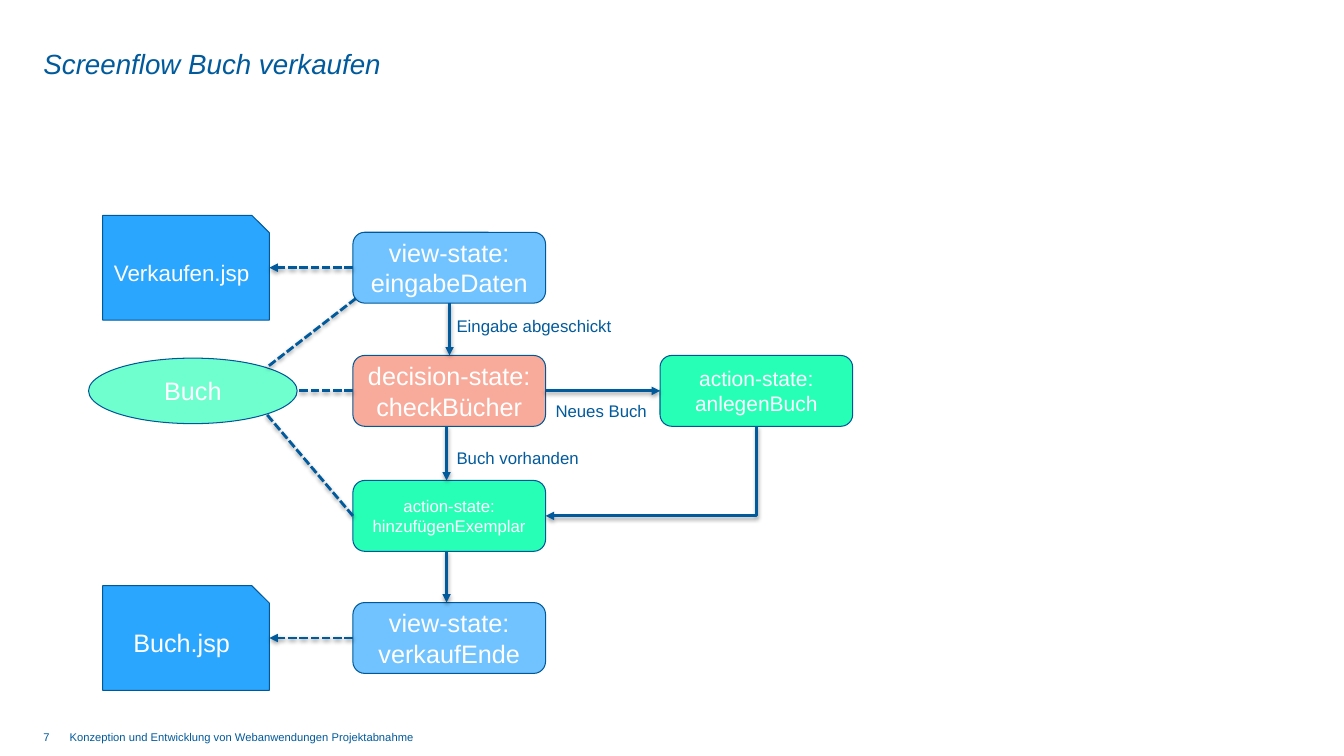
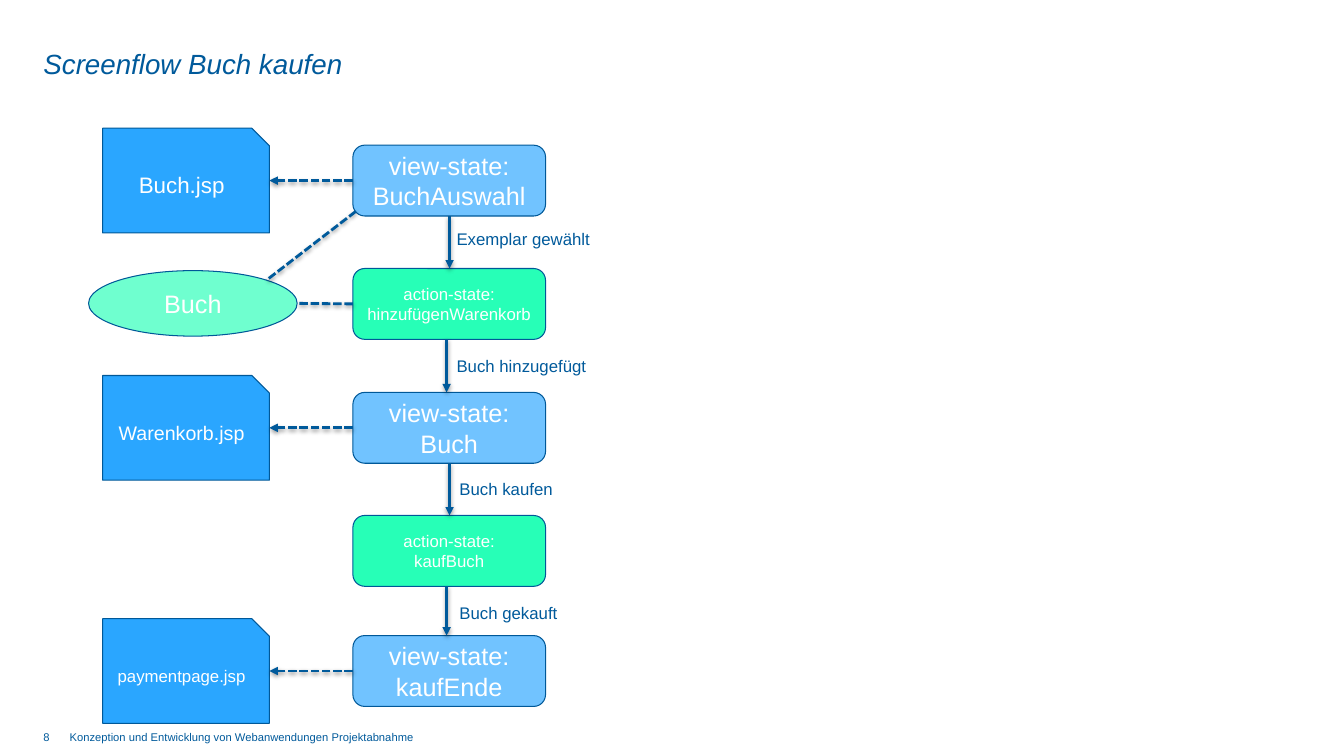
from dataclasses import dataclass
from typing import Optional

from lxml import etree
from pptx import Presentation
from pptx.dml.color import RGBColor
from pptx.enum.dml import MSO_LINE
from pptx.enum.shapes import MSO_CONNECTOR, MSO_SHAPE
from pptx.enum.text import MSO_ANCHOR, PP_ALIGN
from pptx.oxml import parse_xml
from pptx.oxml.ns import nsdecls, qn
from pptx.util import Pt

FONT = "Arial"
INK = "005A9B"
OUTLINE = "005898"
WHITE = "FFFFFF"
PAGE_FILL = "2AA6FF"
ENTITY_FILL = "6FFFCF"
STATE_FILLS = {"view-state": "71C3FF", "decision-state": "F9AB9B", "action-state": "27FFB7"}
FOOTER = "Konzeption und Entwicklung von Webanwendungen Projektabnahme"

FLOW_X, BRANCH_X = 320.9, 540.3
PAGE_X, ENTITY_X = 132.9, 137.8
STATE_W, STATE_H = 137.6, 50.6
PAGE_W, PAGE_H = 119, 74.8
ENTITY_W, ENTITY_H = 149, 46.8
STATE_LEFT = FLOW_X - STATE_W / 2
STATE_RIGHT = FLOW_X + STATE_W / 2
ARROW_LEFT, ARROW_MID = 319, 321.1
LABEL_X = 319


@dataclass(frozen=True)
class State:
    kind: str
    name: str
    y: float
    size: float = 18
    x: float = FLOW_X
    page: str = ""
    page_size: float = 18


@dataclass(frozen=True)
class Label:
    text: str
    top: float
    left: float = LABEL_X


@dataclass(frozen=True)
class Link:
    x1: float
    y1: float
    x2: float
    y2: float
    dashed: bool = False
    arrow: bool = True


@dataclass(frozen=True)
class Flow:
    number: int
    title: str
    entity_y: float
    states: list[State]
    labels: list[Label]
    links: list[Link]
    return_from: Optional[State] = None
    return_to: Optional[State] = None


def color(value: str) -> RGBColor:
    return RGBColor.from_string(value)


def write(shape, lines: list[str], size: float, ink: str, align=PP_ALIGN.LEFT, italic: bool = False) -> None:
    frame = shape.text_frame
    frame.word_wrap = True
    for index, line in enumerate(lines):
        paragraph = frame.paragraphs[0] if index == 0 else frame.add_paragraph()
        paragraph.alignment = align
        run = paragraph.add_run()
        run.text = line
        run.font.name = FONT
        run.font.size = Pt(size)
        run.font.italic = italic
        run.font.color.rgb = color(ink)


def add_text(slide, text: str, left: float, top: float, width: float, height: float,
             size: float, inset: bool = False, italic: bool = False):
    box = slide.shapes.add_textbox(Pt(left), Pt(top), Pt(width), Pt(height))
    frame = box.text_frame
    if not inset:
        frame.margin_left = frame.margin_right = frame.margin_top = frame.margin_bottom = 0
    write(box, [text], size, INK, italic=italic)
    return box


def add_node(slide, preset, x: float, y: float, width: float, height: float,
             fill: str, lines: list[str], size: float) -> None:
    node = slide.shapes.add_shape(preset, Pt(x - width / 2), Pt(y - height / 2), Pt(width), Pt(height))
    node.shadow.inherit = False
    node.fill.solid()
    node.fill.fore_color.rgb = color(fill)
    node.line.color.rgb = color(OUTLINE)
    node.line.width = Pt(0.75)
    node.text_frame.vertical_anchor = MSO_ANCHOR.MIDDLE
    write(node, lines, size, WHITE, PP_ALIGN.CENTER)


def style_connector(connector, dashed: bool, arrow: bool) -> None:
    connector.line.color.rgb = color(INK)
    connector.line.width = Pt(2)
    if dashed:
        connector.line.dash_style = MSO_LINE.SQUARE_DOT
    properties = connector._element.spPr
    if arrow:
        etree.SubElement(properties.find(qn("a:ln")), qn("a:tailEnd"), type="triangle")
    properties.append(parse_xml(
        f'<a:effectLst {nsdecls("a")}><a:outerShdw blurRad="{Pt(3.1)}" dist="{Pt(1.6)}" '
        'dir="5400000" rotWithShape="0"><a:srgbClr val="000000"><a:alpha val="38000"/>'
        '</a:srgbClr></a:outerShdw></a:effectLst>'))


def add_link(slide, link: Link) -> None:
    connector = slide.shapes.add_connector(
        MSO_CONNECTOR.STRAIGHT, Pt(link.x1), Pt(link.y1), Pt(link.x2), Pt(link.y2))
    style_connector(connector, link.dashed, link.arrow)


def add_return(slide, source: State, target: State) -> None:
    start_y, end_x = source.y + STATE_H / 2, target.x + STATE_W / 2
    run, drop = source.x - end_x, target.y - start_y
    mid_x, mid_y = (source.x + end_x) / 2, (start_y + target.y) / 2
    connector = slide.shapes.add_connector(
        MSO_CONNECTOR.ELBOW, Pt(mid_x - drop / 2), Pt(mid_y - run / 2),
        Pt(mid_x + drop / 2), Pt(mid_y + run / 2))
    properties = connector._element.spPr
    properties.find(qn("a:xfrm")).set("rot", "5400000")
    properties.find(qn("a:prstGeom")).set("prst", "bentConnector2")
    style_connector(connector, dashed=False, arrow=True)


def add_state(slide, state: State) -> None:
    add_node(slide, MSO_SHAPE.ROUNDED_RECTANGLE, state.x, state.y, STATE_W, STATE_H,
             STATE_FILLS[state.kind], [f"{state.kind}:", state.name], state.size)
    if state.page:
        add_node(slide, MSO_SHAPE.SNIP_1_RECTANGLE, PAGE_X, state.y, PAGE_W, PAGE_H,
                 PAGE_FILL, [state.page], state.page_size)
        add_link(slide, Link(STATE_LEFT, state.y, PAGE_X + PAGE_W / 2, state.y, dashed=True))


def add_frame(slide, title: str, number: int) -> None:
    add_text(slide, FOOTER, 49.7, 522, 350, 9.4, 8)
    heading = add_text(slide, title, 31, 32, 768, 26, 19.8, italic=True)
    heading.text_frame.vertical_anchor = MSO_ANCHOR.MIDDLE
    add_text(slide, str(number), 31, 522, 18, 16, 8)


def build_flow(deck, flow: Flow) -> None:
    slide = deck.slides.add_slide(deck.slide_layouts[6])
    add_frame(slide, flow.title, flow.number)
    for state in flow.states:
        add_state(slide, state)
    add_node(slide, MSO_SHAPE.OVAL, ENTITY_X, flow.entity_y, ENTITY_W, ENTITY_H,
             ENTITY_FILL, ["Buch"], 18)
    for link in flow.links:
        add_link(slide, link)
    for label in flow.labels:
        add_text(slide, label.text, label.left, label.top, 140.4, 21.8, 12, inset=True)
    if flow.return_from and flow.return_to:
        add_return(slide, flow.return_from, flow.return_to)


def step(upper: State, lower: State, x: float) -> Link:
    return Link(x, upper.y + STATE_H / 2, x, lower.y - STATE_H / 2)


def entity_links(first: State, second: State, entity_y: float) -> list[Link]:
    return [
        Link(254.2, first.y + 22, 190.4, entity_y - 16.6, dashed=True, arrow=False),
        Link(STATE_LEFT, second.y, ENTITY_X + ENTITY_W / 2, entity_y, dashed=True, arrow=False),
    ]


def sell_flow() -> Flow:
    enter = State("view-state", "eingabeDaten", 191.2, page="Verkaufen.jsp", page_size=16)
    check = State("decision-state", "checkBücher", 279.2)
    append = State("action-state", "hinzufügenExemplar", 368.5, 12)
    finish = State("view-state", "verkaufEnde", 455.7, page="Buch.jsp")
    create = State("action-state", "anlegenBuch", check.y, 15, BRANCH_X)
    return Flow(
        7, "Screenflow Buch verkaufen", check.y,
        [enter, check, append, finish, create],
        [Label("Eingabe abgeschickt", 222.3), Label("Buch vorhanden", 316.3),
         Label("Neues Buch", 282.5, STATE_RIGHT)],
        [step(enter, check, ARROW_MID), step(check, append, ARROW_LEFT),
         step(append, finish, ARROW_LEFT),
         Link(STATE_RIGHT, check.y, BRANCH_X - STATE_W / 2, check.y),
         *entity_links(enter, check, check.y),
         Link(STATE_LEFT, append.y, 190.4, check.y + 16.6, dashed=True, arrow=False)],
        create, append)


def buy_flow() -> Flow:
    choose = State("view-state", "BuchAuswahl", 129, page="Buch.jsp", page_size=16)
    append = State("action-state", "hinzufügenWarenkorb", 217.1, 12)
    basket = State("view-state", "Buch", 305.6, page="Warenkorb.jsp", page_size=14)
    buy = State("action-state", "kaufBuch", 393.5, 12)
    finish = State("view-state", "kaufEnde", 479.3, page="paymentpage.jsp", page_size=12)
    entity_y = 216.7
    return Flow(
        8, "Screenflow Buch kaufen", entity_y,
        [choose, append, basket, buy, finish],
        [Label("Exemplar gewählt", 160), Label("Buch hinzugefügt", 250.6),
         Label("Buch kaufen", 338.5, ARROW_MID), Label("Buch gekauft", 427, ARROW_MID)],
        [step(choose, append, ARROW_MID), step(append, basket, ARROW_LEFT),
         step(basket, buy, ARROW_MID), step(buy, finish, ARROW_LEFT),
         *entity_links(choose, append, entity_y)])


def main() -> None:
    deck = Presentation()
    deck.slide_width, deck.slide_height = Pt(960), Pt(540)
    for flow in (sell_flow(), buy_flow()):
        build_flow(deck, flow)
    deck.save("out.pptx")


main()
